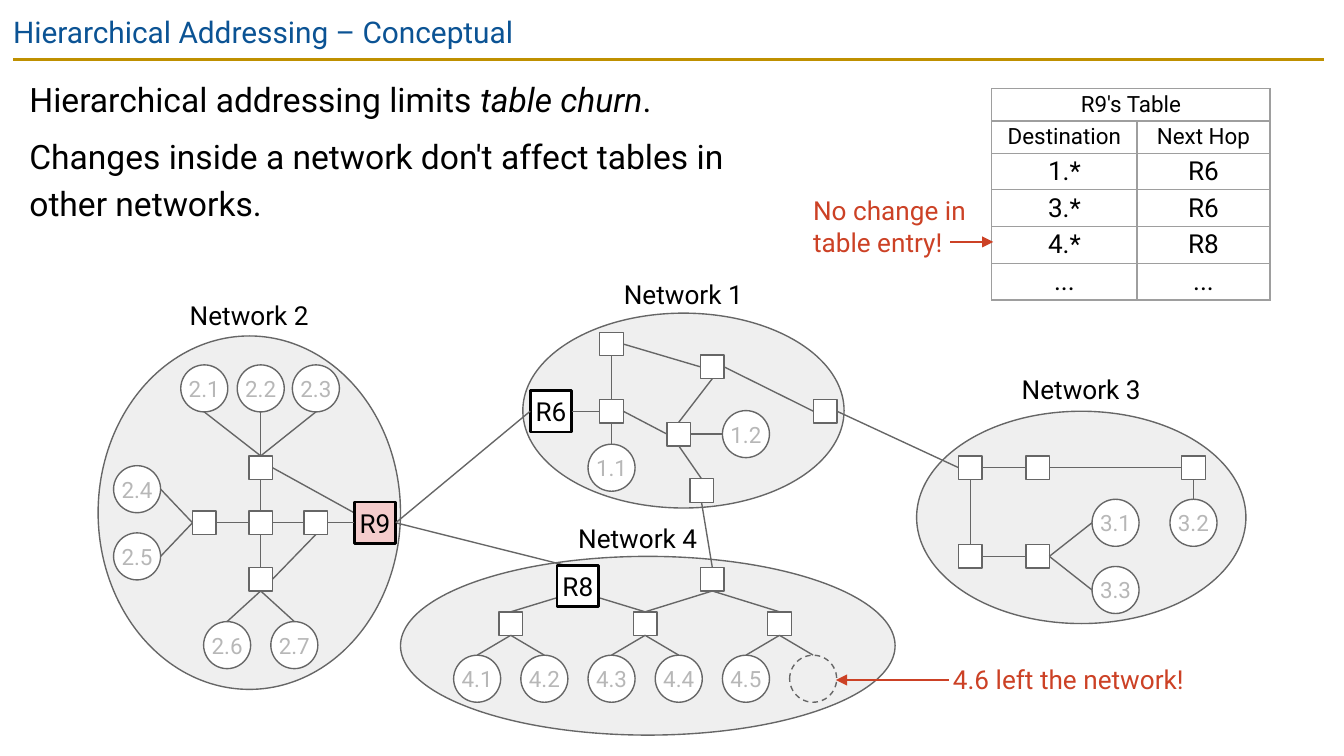
from lxml.etree import SubElement
from pptx import Presentation
from pptx.dml.color import RGBColor
from pptx.enum.dml import MSO_LINE
from pptx.enum.shapes import MSO_CONNECTOR as LINK, MSO_SHAPE as SHAPE
from pptx.enum.text import MSO_ANCHOR as ANCHOR, PP_ALIGN as ALIGN
from pptx.oxml import parse_xml
from pptx.oxml.ns import nsdecls, qn
from pptx.util import Pt

PX = 9144  # 100 px to the inch
WIDE = 1000 * PX
HIGH = WIDE * 9 // 16
FONT = "Roboto"
COLORS = {
    "black": "000000", "white": "FFFFFF", "blue": "0B5394", "gold": "BF9000",
    "gray": "666666", "pale": "EFEFEF", "faint": "B7B7B7", "pink": "F4CCCC",
    "red": "CC4125", "rule": "9E9E9E",
}

TITLE = "Hierarchical Addressing – Conceptual"
BODY = [  # underscores enclose italics
    "Hierarchical addressing limits _table churn_.",
    "Changes inside a network don't affect tables in other networks.",
]

# name, oval (left, top, width, height), label (left, top)
NETS = [
    ("Network 4", (298, 414, 368, 133), (429, 389)),
    ("Network 3", (682, 306, 245, 158), (759, 278)),
    ("Network 1", (389, 233, 239, 145), (463, 207)),
    ("Network 2", (73, 250, 225, 263), (140, 223)),
]

# Every node is placed by its centre
ROUTERS = {
    "2w": (152, 389), "2c": (194, 389), "2e": (235, 389),
    "2s": (194, 431), "2n": (194, 348),
    "1w": (455, 306), "1nw": (455, 256), "1c": (505, 323),
    "1n": (530, 273), "1e": (614, 306), "1s": (522, 365),
    "3nw": (722, 348), "3n": (772, 348), "3ne": (888, 348),
    "3sw": (722, 414), "3s": (772, 414),
    "4n": (530, 431), "4w": (380, 464), "4c": (480, 464), "4e": (580, 464),
}
NAMED = {"R6": (410, 306), "R8": (430, 436), "R9": (279, 389)}
HOSTS = {
    "1.1": (455, 348), "1.2": (555, 323),
    "2.1": (152, 289), "2.2": (194, 289), "2.3": (235, 289),
    "2.4": (102, 364), "2.5": (102, 414), "2.6": (169, 480), "2.7": (219, 480),
    "3.1": (830, 389), "3.2": (888, 389), "3.3": (830, 439),
    **{f"4.{i + 1}": (355 + 50 * i, 505) for i in range(6)},
}
GONE = "4.6"

# Ends are "node side" (t, l, b, r) or a point under a node
R8_LOW, R8_HIGH, R9_MID = (430, 440), (430, 423), (277, 389)
LINKS = [
    ("2.1 b", "2n t"), ("2.2 b", "2n t"), ("2.3 b", "2n t"),
    ("2.4 r", "2w l"), ("2.5 r", "2w l"), ("2.6 t", "2s b"), ("2.7 t", "2s b"),
    ("2w r", "2c l"), ("2c r", "2e l"), ("2e r", "R9 l"),
    ("2s t", "2c b"), ("2c t", "2n b"), ("2s r", "2e b"), ("2n r", R9_MID),
    ("R9 r", "R6 l"), ("R9 r", R8_HIGH),
    ("R6 r", "1w l"), ("1w t", "1nw b"), ("1.1 t", "1w b"), ("1w r", "1c l"),
    ("1nw r", "1n l"), ("1c t", "1n b"), ("1c r", "1.2 l"), ("1n r", "1e l"),
    ("1s t", "1c b"), ("1e r", "3nw l"), ("4n t", "1s b"),
    ("3nw r", "3n l"), ("3n r", "3ne l"), ("3nw b", "3sw t"), ("3s l", "3sw r"),
    ("3.1 l", "3s r"), ("3.3 l", "3s r"), ("3ne b", "3.2 t"),
    ("4w t", R8_LOW), ("4c t", R8_LOW), ("4c t", "4n b"), ("4e t", "4n b"),
    ("4.1 t", "4w b"), ("4.2 t", "4w b"), ("4.3 t", "4c b"), ("4.4 t", "4c b"),
    ("4.5 t", "4e b"), ("4.6 t", "4e b"),
]

TABLE = [
    ["R9's Table", ""], ["Destination", "Next Hop"],
    ["1.*", "R6"], ["3.*", "R6"], ["4.*", "R8"], ["...", "..."],
]
COLS, ROWS = (108, 99), (24, 24, 27, 27, 27, 27)

# text, box, arrow from, arrow to
NOTES = [
    ("4.6 left the network!", (706, 491, 185, 30), (706, 506), (622, 506)),
    ("No change in table entry!", (602, 142, 127, 53), (707, 180), (739, 180)),
]

SIDES = {"t": (0, 0, -1), "l": (1, -1, 0), "b": (2, 0, 1), "r": (3, 1, 0)}

deck = Presentation()
deck.slide_width, deck.slide_height = WIDE, HIGH
slide = deck.slides.add_slide(deck.slide_layouts[6])
shapes = slide.shapes


def emu(*nums):
    return [round(n * PX) for n in nums]


def rgb(name):
    return RGBColor.from_string(COLORS[name])


def write(frame, text, size=14, color="black", align=ALIGN.CENTER, space=None, before=0):
    """Add a paragraph; parts between underscores are italic."""
    para = frame.paragraphs[0]
    if para.runs:
        para = frame.add_paragraph()
        para.space_before = Pt(before)
    para.alignment, para.line_spacing = align, space
    for i, part in enumerate(text.split("_")):
        run = para.add_run()
        run.text = part
        font = run.font
        font.name, font.size, font.italic = FONT, Pt(size), i % 2 == 1
        font.color.rgb = rgb(color)


def fit(frame, inset=0, anchor=ANCHOR.TOP, wrap=True):
    frame.margin_left = frame.margin_right = inset * PX
    frame.margin_top = frame.margin_bottom = inset * PX
    frame.vertical_anchor, frame.word_wrap = anchor, wrap
    return frame


def label(box, inset=0, wrap=True):
    return fit(shapes.add_textbox(*emu(*box)).text_frame, inset, wrap=wrap)


def draw(kind, box, fill="white", line="gray", width=0.75):
    shape = shapes.add_shape(kind, *emu(*box))
    shape.shadow.inherit = False
    if fill:
        shape.fill.solid()
        shape.fill.fore_color.rgb = rgb(fill)
    else:
        shape.fill.background()
    shape.line.color.rgb, shape.line.width = rgb(line), Pt(width)
    fit(shape.text_frame, anchor=ANCHOR.MIDDLE)
    return shape


def node(kind, mid, size, **look):
    x, y = mid
    return draw(kind, (x - size / 2, y - size / 2, size, size), **look)


def connect(start, end, color="gray", width=0.75, arrow=False):
    line = shapes.add_connector(LINK.STRAIGHT, *emu(*start, *end))
    line.line.color.rgb, line.line.width = rgb(color), Pt(width)
    if arrow:
        SubElement(line.line._get_or_add_ln(), qn("a:tailEnd"), type="triangle")
    SubElement(line._element.spPr, qn("a:effectLst"))
    return line


def locate(end):
    """Return the point of a link's end, and the (shape, site) to join, if any."""
    if isinstance(end, tuple):
        return end, None
    name, side = end.split()
    site, dx, dy = SIDES[side]
    (x, y), size = places[name]
    join = None if name in HOSTS else (made[name], site)
    return (x + dx * size / 2, y + dy * size / 2), join


def border(cell):
    props = cell._tc.get_or_add_tcPr()
    for edge in "LRTB":
        props.append(parse_xml(
            f'<a:ln{edge} {nsdecls("a")} w="9525"><a:solidFill>'
            f'<a:srgbClr val="{COLORS["rule"]}"/></a:solidFill></a:ln{edge}>'))


connect((10, 44), (985, 44), "gold", 1.5)
write(label((0, 0, 1000, 43), 10), TITLE, size=16, color="blue", align=ALIGN.LEFT)
body = label((12, 44, 568, 145), 10)
for text in BODY:
    write(body, text, size=18, align=ALIGN.LEFT, space=1.15, before=6)

for name, oval, spot in NETS:
    draw(SHAPE.OVAL, oval, fill="pale")
for name, oval, spot in NETS:
    write(label((*spot, 91, 24), wrap=False), name)

places, made = {}, {}
for group, size in ((ROUTERS, 17.5), (HOSTS, 35), (NAMED, 31)):
    places.update({name: (mid, size) for name, mid in group.items()})
for name, mid in ROUTERS.items():
    made[name] = node(SHAPE.RECTANGLE, mid, 17.5)
for name, mid in HOSTS.items():
    host = node(SHAPE.OVAL, mid, 35, fill=None if name == GONE else "white")
    if name == GONE:
        host.line.dash_style = MSO_LINE.DASH
    else:
        write(host.text_frame, name, size=12, color="faint")
for name, mid in NAMED.items():
    fill = "pink" if name == "R9" else "white"
    made[name] = node(SHAPE.RECTANGLE, mid, 31, fill=fill, line="black", width=1.5)
    write(made[name].text_frame, name)

for start, end in LINKS:
    (here, tie), (there, knot) = locate(start), locate(end)
    line = connect(here, there)
    if tie:
        line.begin_connect(*tie)
    if knot:
        line.end_connect(*knot)
    elif isinstance(end, tuple):
        made["2w"]._element.addprevious(line._element)  # pass under the node

grid = shapes.add_table(len(ROWS), len(COLS), *emu(738, 66, sum(COLS), sum(ROWS)))
table = grid.table
table.first_row = table.horz_banding = False
for col, wide in zip(table.columns, COLS):
    col.width = wide * PX
for r, (row, high) in enumerate(zip(TABLE, ROWS)):
    table.rows[r].height = high * PX
    for c, text in enumerate(row):
        cell = table.cell(r, c)
        border(cell)
        cell.fill.background()
        cell.margin_left = cell.margin_right = 0
        cell.margin_top = cell.margin_bottom = 2 * PX
        cell.vertical_anchor = ANCHOR.MIDDLE
        if text:
            write(cell.text_frame, text, size=12 if r < 2 else 14)
table.cell(0, 0).merge(table.cell(0, 1))

for text, box, start, end in NOTES:
    connect(start, end, "red", arrow=True)
    write(label(box, 3), text, color="red", align=ALIGN.LEFT)

deck.save("out.pptx")
